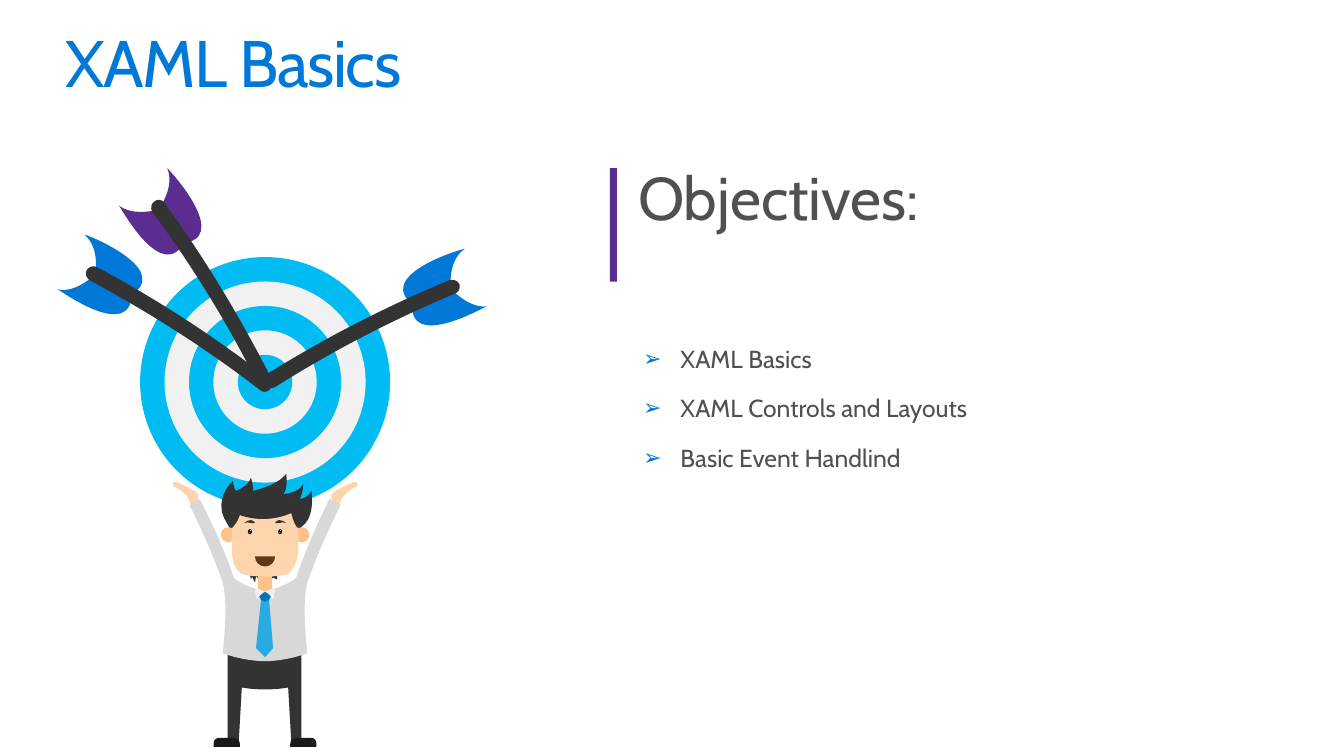
from dataclasses import dataclass

from lxml.etree import SubElement
from pptx import Presentation
from pptx.dml.color import RGBColor
from pptx.enum.shapes import MSO_SHAPE
from pptx.oxml.ns import qn
from pptx.util import Cm, Pt


@dataclass(frozen=True)
class Theme:
    font: str = "Cabin"
    title_size: float = 47
    heading_size: float = 43.1
    body_size: float = 17.6
    blue: str = "0078D7"
    purple: str = "5C2D91"
    text: str = "505050"
    cyan: str = "00BCF2"
    pale: str = "F1F1F1"
    dark: str = "333333"
    black: str = "1A1A1A"
    skin: str = "FED4AC"
    tan: str = "FEC187"
    shirt: str = "D8D8D8"
    tie: str = "29AAE1"
    knot: str = "0071BB"
    mouth: str = "603813"


THEME = Theme()
GRID = Cm(2.54) / 100  # the drawing is laid out in hundredths of an inch
AXIS = 263  # the man and the target are centred here

# Outlines: a start point, then line ends (x y) or cubic curves (three points).
HAND = ("189 500/189 500 187 489 173 483/173 483 168 479 175 478/"
        "175 478 196 487 197 491/198 494 196 496 196 496/197 499")
HAIR = ("249 575/249 571 234 533 224 517/215 502 221 487 231 477/"
        "231 477 232 485 234 487/234 487 246 483 249 474/249 474 252 483 251 487/"
        "251 487 275 482 284 470/284 470 286 486 281 490/281 490 296 490 301 480/"
        "301 480 300 493 297 495/297 495 305 495 309 487/309 487 313 511 301 521/"
        "290 530 274 564 275 575/271 573/268 576/264 573/259 576/254 572/253 578/250 572")
TROUSERS = ("263 652/226 643/226 735/237 735/240 682/240 682 249 684 263 684/"
            "277 684 286 682 286 682/289 735/299 735/299 643")
SHIRT = ("338 501/327 495/326 497 307 534 294 573/294 573 288 580 263 587/"
         "237 580 232 573 232 573/219 534 199 497 198 495/188 501/"
         "188 501 208 540 221 578/227 600 221 648 221 648/242 656 263 656 263 656/"
         "263 656 284 656 305 648/305 648 299 600 305 578/318 540 338 501 338 501")
TIE = "267 595/263 593/259 595/254 643/263 652/271 643"
KNOT = "263 587/256 589/259 595/263 597/267 595/270 589"
FACE = ("296 507/296 502 292 498 288 498/239 498/236 498 234 499 232 501/"
        "231 502 230 504 230 507/230 543/230 548 230 561 237 567/238 568 238 568 239 569/"
        "243 571 253 572 263 572/273 572 283 571 287 569/288 568 288 568 288 567/"
        "295 561 296 548 296 543")
MOUTH = "253 552/253 558 258 562 263 562/268 562 273 558 273 552"
COLLAR = "263 587/263 587 257 590 255 595/253 586/253 586 254 584 256 584"
SHOE = ("238 741/238 740 238 738 238 738/238 734 235 732 232 732/218 732/"
        "214 732 212 734 212 738/212 738 212 740 212 741")
FRINGE = ("230 524/230 524 236 518 238 511/238 511 262 521 289 509/"
          "289 509 292 522 296 524/296 524 300 501 296 499/"
          "292 497 235 493 229 498/222 503 230 524 230 524")
BROW = ("242 519/244 517 247 516 249 516/251 516 253 518 253 519/"
        "251 519 250 519 249 519/247 518 244 518 242 519")
# Each dart: colour, two flights, shaft.
DARTS = (
    (THEME.blue,
     "447 280/447 280 446 257 461 247/461 246 379 270 405 298/419 292 433 286 447 280",
     "451 290/451 290 467 306 483 304/483 303 414 344 409 308/423 302 437 296 451 290",
     "263 382/261 378 262 374 265 371/323 335 383 304 446 278/450 277 454 278 456 282/"
     "457 286 455 290 452 291/390 317 330 348 273 384/270 386 265 385 263 382"),
    (THEME.purple,
     "161 202/161 202 173 183 166 167/167 167 224 229 188 240/179 227 170 214 161 202",
     "152 209/152 209 131 214 118 204/119 204 156 274 179 246/170 233 162 221 152 209",
     "266 385/269 383 271 378 269 375/238 314 203 256 163 201/161 198 156 197 153 200/"
     "150 202 149 206 151 210/191 264 226 321 256 381/258 385 262 386 266 385"),
    (THEME.blue,
     "95 267/95 267 98 245 84 233/85 232 164 264 135 289/122 282 109 274 95 267",
     "90 276/90 276 73 291 57 287/57 286 121 334 130 299/116 291 103 284 90 276",
     "268 386/270 383 270 378 267 376/213 334 156 297 96 265/92 263 88 265 86 268/"
     "84 272 86 276 89 278/148 310 205 346 258 387/261 390 266 389 268 386"),
)


def read_outline(outline):
    """Return one list of points for each segment: one for a line, three for a curve."""
    segments = []
    for segment in outline.split("/"):
        values = [int(value) for value in segment.split()]
        segments.append(list(zip(values[::2], values[1::2])))
    return segments


def bend_curves(shape, segments):
    """Turn the three lines drawn through each curve's points into one cubic curve."""
    lines = iter(list(shape._element.iter(qn("a:lnTo"))))
    for segment in segments:
        first, *others = [next(lines) for _ in segment]
        if others:
            curve = first.makeelement(qn("a:cubicBezTo"))
            first.addprevious(curve)
            for line in (first, *others):
                curve.append(line[0])
                line.getparent().remove(line)


def add_bullet(paragraph, theme, indent):
    properties = paragraph._p.get_or_add_pPr()
    properties.set("marL", str(indent))
    properties.set("indent", str(-indent))
    bullet_colour = SubElement(properties, qn("a:buClr"))
    SubElement(bullet_colour, qn("a:srgbClr"), val=theme.blue)
    SubElement(properties, qn("a:buSzPct"), val="90000")
    SubElement(properties, qn("a:buFont"), typeface=theme.font)
    SubElement(properties, qn("a:buChar"), char="➢")


class Page:
    def __init__(self, deck, theme):
        self.theme = theme
        self.shapes = deck.slides.add_slide(deck.slide_layouts[6]).shapes

    def paint(self, shape, colour):
        shape.shadow.inherit = False
        shape.fill.solid()
        shape.fill.fore_color.rgb = RGBColor.from_string(colour)
        shape.line.fill.background()

    def preset(self, kind, left, top, width, height, colour):
        self.paint(self.shapes.add_shape(kind, left, top, width, height), colour)

    def drawn(self, kind, left, top, width, height, colour):
        """Add a preset shape measured on the drawing grid."""
        self.preset(kind, *(round(value * GRID) for value in (left, top, width, height)), colour)

    def outline(self, outline, colour, mirrored=False):
        start, *segments = [[(2 * AXIS - x if mirrored else x, y) for x, y in segment]
                            for segment in read_outline(outline)]
        builder = self.shapes.build_freeform(*start[0], scale=GRID)
        builder.add_line_segments([point for segment in segments for point in segment], close=True)
        shape = builder.convert_to_shape()
        bend_curves(shape, segments)
        self.paint(shape, colour)

    def outline_pair(self, outline, colour):
        self.outline(outline, colour)
        self.outline(outline, colour, mirrored=True)

    def oval_pair(self, left, top, width, height, colour, gap):
        for shift in (0, gap):
            self.drawn(MSO_SHAPE.OVAL, left + shift, top, width, height, colour)

    def text(self, text, left, top, width, height, *, size, colour, inset, line_spacing=1.0,
             space_before=0, tracking=None, bullet_indent=None):
        frame = self.shapes.add_textbox(left, top, width, height).text_frame
        frame.word_wrap = True
        frame.margin_left = frame.margin_right = inset[0]
        frame.margin_top = frame.margin_bottom = inset[1]
        frame.text = text
        for index, paragraph in enumerate(frame.paragraphs):
            if bullet_indent:
                add_bullet(paragraph, self.theme, bullet_indent)
            paragraph.line_spacing = line_spacing
            paragraph.space_before = Pt(space_before if index else 0)
            for span in paragraph.runs:
                span.font.name = self.theme.font
                span.font.size = Pt(size)
                span.font.color.rgb = RGBColor.from_string(colour)
                if tracking:
                    span.font._element.set("spc", str(tracking))


def draw_target(page):
    for ring in range(5):
        size = 248 - 48.5 * ring
        colour = page.theme.pale if ring % 2 else page.theme.cyan
        page.drawn(MSO_SHAPE.OVAL, AXIS - size / 2, 379 - size / 2, size, size, colour)


def draw_man(page):
    theme = page.theme
    page.outline(HAIR, theme.dark)
    page.outline(TROUSERS, theme.dark)
    page.outline(SHIRT, theme.shirt)
    page.outline(TIE, theme.tie)
    page.outline(KNOT, theme.knot)
    page.drawn(MSO_SHAPE.RECTANGLE, 256, 565, 14, 22, theme.tan)
    page.oval_pair(219, 523, 15, 15, theme.tan, gap=73)
    page.outline(FACE, theme.skin)
    page.outline(MOUTH, theme.mouth)
    page.outline_pair(COLLAR, theme.pale)
    page.outline_pair(SHOE, theme.black)
    page.outline(FRINGE, theme.dark)
    page.oval_pair(246, 525, 4, 5, theme.black, gap=30)
    page.oval_pair(248, 526, 1, 1, theme.pale, gap=30)
    page.oval_pair(247, 528, 0.5, 0.4, theme.pale, gap=30)
    page.outline_pair(BROW, theme.dark)


def main():
    deck = Presentation()
    deck.slide_width, deck.slide_height = Cm(33.87), Cm(19.05)
    page = Page(deck, THEME)
    page.text("XAML Basics\nXAML Controls and Layouts\nBasic Event Handlind",
              Cm(15.8), Cm(8.05), Cm(17.4), Cm(5.33), size=THEME.body_size, colour=THEME.text,
              inset=(Cm(0.41), Cm(0.25)), line_spacing=1.5, space_before=3.5, bullet_indent=Cm(0.94))
    page.text("XAML Basics", Cm(1.24), Cm(0.53), Cm(31.57), Cm(2.49), size=THEME.title_size,
              colour=THEME.blue, inset=(Cm(0.41), Cm(0.25)), line_spacing=0.9, tracking=-100)
    page.outline_pair(HAND, THEME.skin)
    draw_target(page)
    draw_man(page)
    for colour, upper_flight, lower_flight, shaft in DARTS:
        page.outline(upper_flight, colour)
        page.outline(lower_flight, colour)
        page.outline(shaft, THEME.dark)
    page.text("Objectives:", Cm(15.57), Cm(3.63), Cm(16.46), Cm(2.64), size=THEME.heading_size,
              colour=THEME.text, inset=(Cm(0.51), Cm(0.41)))
    page.preset(MSO_SHAPE.RECTANGLE, Cm(15.37), Cm(4.24), Cm(0.18), Cm(2.86), THEME.purple)
    deck.save("out.pptx")


if __name__ == "__main__":
    main()
